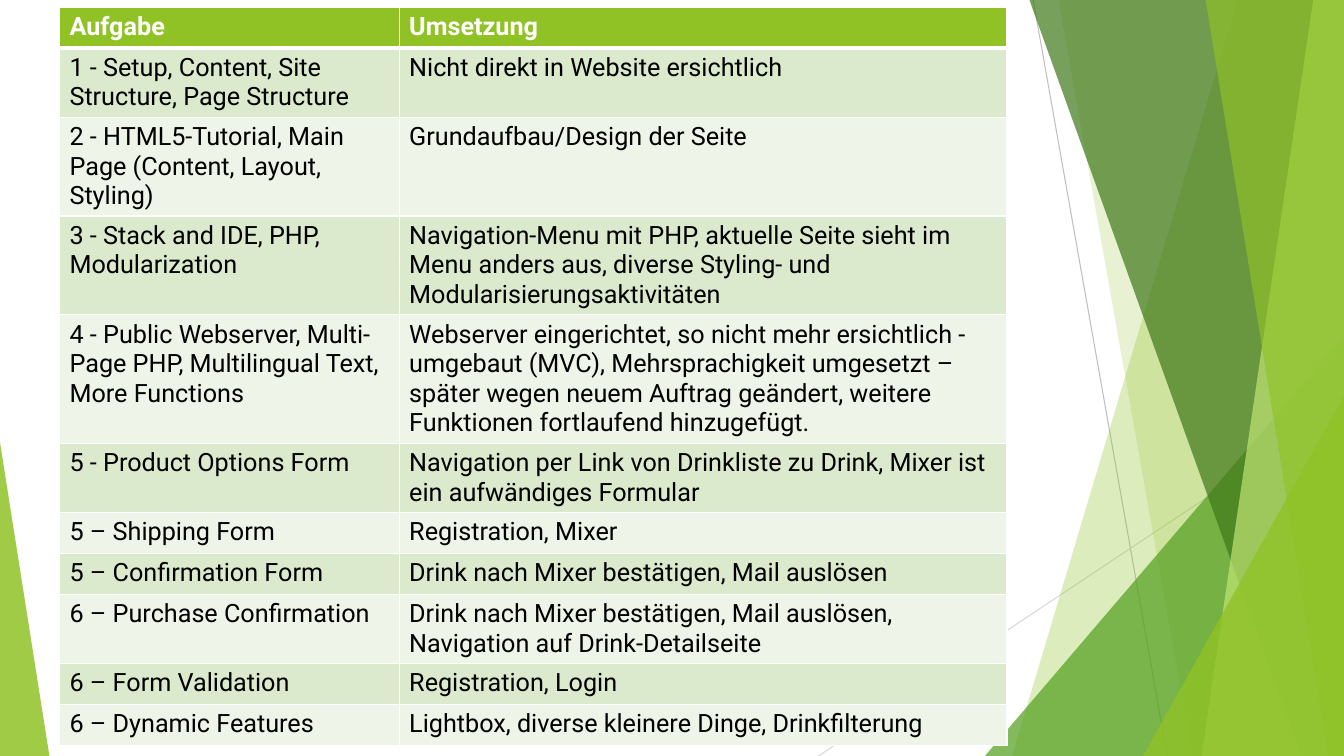
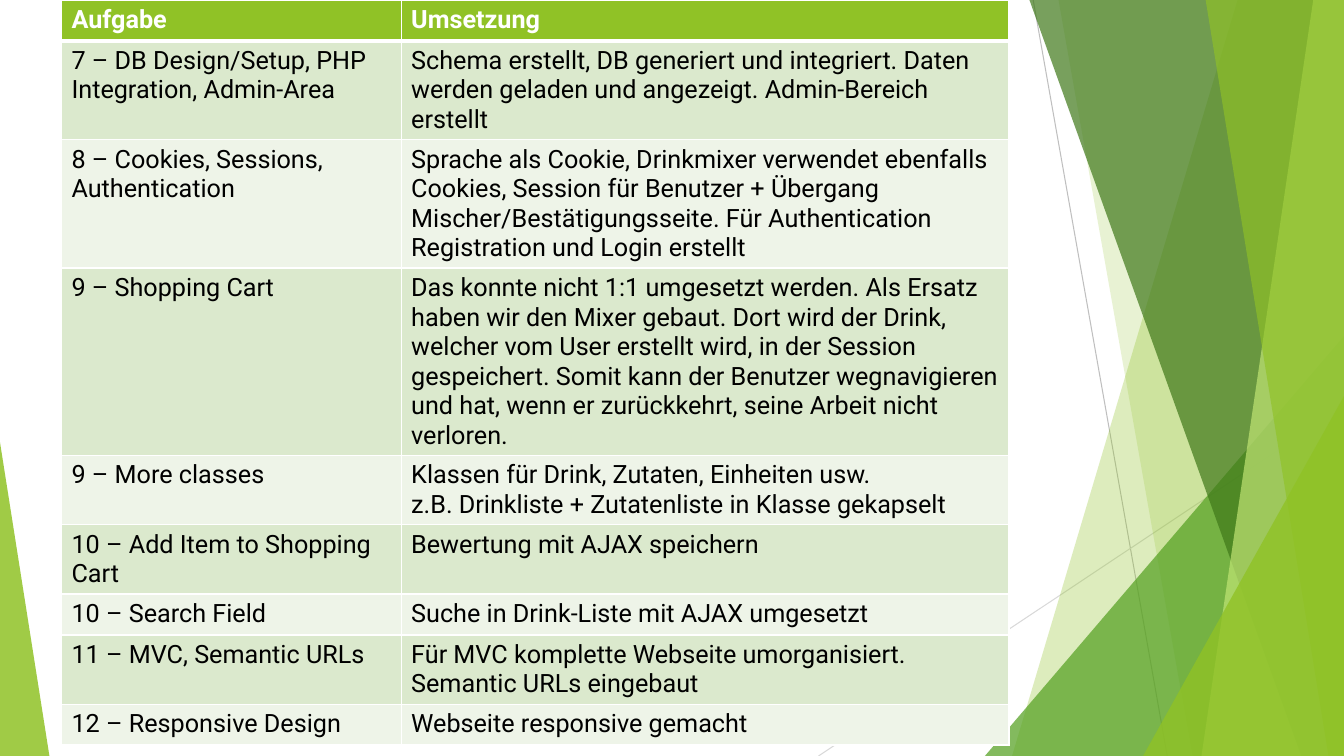
from itertools import islice

from lxml import etree
from pptx import Presentation
from pptx.dml.color import RGBColor
from pptx.enum.shapes import MSO_CONNECTOR, MSO_SHAPE
from pptx.oxml.ns import qn
from pptx.util import Pt

LINE = MSO_CONNECTOR.STRAIGHT
WEDGE = MSO_SHAPE.ISOSCELES_TRIANGLE
WIDE, HIGH = 960, 540
FONT, SIZE = "Roboto", 18
GREEN, LEAF, MOSS, LIME = "90C226", "54A021", "3F7819", "C0E474"
WHITE, BLACK = "FFFFFF", "000000"
BANDS = ("EEF4E8", "DBE9CD")
COLS = (242.64, 434.16)
ROW = 29.2
HEAD = ("Aufgabe", "Umsetzung")


def hue(code):
    """Turn a hex string into a colour."""
    return RGBColor.from_string(code)


class Deck:
    """Holds the style, the presentation and the current slide."""

    def __init__(self):
        """Start an empty widescreen deck."""
        self.prs = Presentation()
        self.prs.slide_width, self.prs.slide_height = Pt(WIDE), Pt(HIGH)
        self.base = self.prs.slide_layouts[6]
        self.slide = None

    def add(self):
        """Add a slide and make it current."""
        self.slide = self.prs.slides.add_slide(self.base)

    def share(self, shape):
        """Move a shape from the slide to the shared layout."""
        self.base.shapes.element.append(shape.element)

    def line(self, x1, y1, x2, y2, color):
        """Draw a thin shared line."""
        line = self.slide.shapes.add_connector(
            LINE, Pt(x1), Pt(y1), Pt(x2), Pt(y2))
        line.line.color.rgb = hue(color)
        line.line.width = Pt(0.75)
        etree.SubElement(line.element.spPr, qn("a:effectLst"))
        self.share(line)

    def paint(self, shape, color, alpha):
        """Fill a shared shape with a see-through colour."""
        shape.shadow.inherit = False
        shape.line.fill.background()
        shape.fill.solid()
        shape.fill.fore_color.rgb = hue(color)
        tint = next(shape.element.spPr.iter(qn("a:srgbClr")))
        etree.SubElement(tint, qn("a:alpha"), val=str(alpha * 1000))
        self.share(shape)

    def beam(self, top, foot, color, alpha):
        """Draw a full-height band from a slanted edge to the right side."""
        pen = self.slide.shapes.build_freeform(Pt(top), Pt(-0.6), 1.0)
        pen.add_line_segments([(Pt(WIDE), Pt(-0.6)), (Pt(WIDE), Pt(HIGH)),
                               (Pt(foot), Pt(HIGH))])
        self.paint(pen.convert_to_shape(), color, alpha)

    def wedge(self, x, y, width, tip, color, alpha):
        """Draw a triangle that stands on the bottom edge."""
        shape = self.slide.shapes.add_shape(
            WEDGE, Pt(x), Pt(y), Pt(width), Pt(HIGH - y))
        shape.adjustments[0] = tip
        self.paint(shape, color, alpha)

    def decor(self):
        """Draw the shared green facets."""
        self.line(738, 0, 833.76, HIGH, "BFBFBF")
        self.line(WIDE, 290.16, 584.64, HIGH, "D9D9D9")
        self.beam(884.16, 722.88, GREEN, 30)
        self.beam(756, 851.76, GREEN, 20)
        self.wedge(703.5, 240, 256.5, 1, LEAF, 72)
        self.beam(735.12, 929.52, MOSS, 70)
        self.beam(938.16, 858.24, LIME, 70)
        self.beam(861.12, 948.96, GREEN, 65)
        self.wedge(816.5, 283, 143.5, 1, GREEN, 80)
        self.wedge(0, 316, 35.3, 0, GREEN, 85)

    def cell(self, cell, text, fill, color, bold):
        """Fill one table cell with text."""
        cell.fill.solid()
        cell.fill.fore_color.rgb = hue(fill)
        cell.text = text
        for para in cell.text_frame.paragraphs:
            font = para.font
            font.name, font.size, font.bold = FONT, Pt(SIZE), bold
            font.color.rgb = hue(color)

    def rule(self, frame):
        """Put a thick white line under the header row."""
        for props in islice(frame.element.iter(qn("a:tcPr")), len(COLS)):
            edge = etree.Element(qn("a:lnB"), w=str(Pt(3)))
            fill = etree.SubElement(edge, qn("a:solidFill"))
            etree.SubElement(fill, qn("a:srgbClr"), val=WHITE)
            props.insert(0, edge)

    def table(self, x, y, height, tasks):
        """Add the task table with a header and banded rows."""
        rows = [HEAD, *tasks]
        frame = self.slide.shapes.add_table(
            len(rows), len(COLS), Pt(x), Pt(y), Pt(sum(COLS)), Pt(height))
        grid = frame.table
        for col, width in zip(grid.columns, COLS):
            col.width = Pt(width)
        for i, texts in enumerate(rows):
            grid.rows[i].height = Pt(ROW)
            look = (BANDS[i % 2], BLACK, False) if i else (
                GREEN, WHITE, True)
            for j, text in enumerate(texts):
                self.cell(grid.cell(i, j), text, *look)
        self.rule(frame)
        frame.height = Pt(height)


FIRST = [
    ("1 - Setup, Content, Site Structure, Page Structure",
     "Nicht direkt in Website ersichtlich"),
    ("2 - HTML5-Tutorial, Main Page (Content, Layout, Styling)",
     "Grundaufbau/Design der Seite"),
    ("3 - Stack and IDE, PHP, Modularization",
     "Navigation-Menu mit PHP, aktuelle Seite sieht im Menu anders aus, "
     "diverse Styling- und Modularisierungsaktivitäten"),
    ("4 - Public Webserver, Multi-Page PHP, Multilingual Text, "
     "More Functions",
     "Webserver eingerichtet, so nicht mehr ersichtlich - umgebaut (MVC), "
     "Mehrsprachigkeit umgesetzt – später wegen neuem Auftrag geändert, "
     "weitere Funktionen fortlaufend hinzugefügt."),
    ("5 - Product Options Form",
     "Navigation per Link von Drinkliste zu Drink, Mixer ist ein "
     "aufwändiges Formular"),
    ("5 – Shipping Form", "Registration, Mixer"),
    ("5 – Confirmation Form", "Drink nach Mixer bestätigen, Mail auslösen"),
    ("6 – Purchase Confirmation",
     "Drink nach Mixer bestätigen, Mail auslösen, Navigation auf "
     "Drink-Detailseite"),
    ("6 – Form Validation", "Registration, Login"),
    ("6 – Dynamic Features",
     "Lightbox, diverse kleinere Dinge, Drinkfilterung"),
]
SECOND = [
    ("7 – DB Design/Setup, PHP Integration, Admin-Area",
     "Schema erstellt, DB generiert und integriert. Daten werden geladen "
     "und angezeigt. Admin-Bereich erstellt"),
    ("8 – Cookies, Sessions, Authentication",
     "Sprache als Cookie, Drinkmixer verwendet ebenfalls Cookies, Session "
     "für Benutzer + Übergang Mischer/Bestätigungsseite. Für "
     "Authentication Registration und Login erstellt"),
    ("9 – Shopping Cart",
     "Das konnte nicht 1:1 umgesetzt werden. Als Ersatz haben wir den "
     "Mixer gebaut. Dort wird der Drink, welcher vom User erstellt wird, "
     "in der Session gespeichert. Somit kann der Benutzer wegnavigieren "
     "und hat, wenn er zurückkehrt, seine Arbeit nicht verloren."),
    ("9 – More classes",
     "Klassen für Drink, Zutaten, Einheiten usw.\n"
     "z.B. Drinkliste + Zutatenliste in Klasse gekapselt"),
    ("10 – Add Item to Shopping Cart", "Bewertung mit AJAX speichern"),
    ("10 – Search Field", "Suche in Drink-Liste mit AJAX umgesetzt"),
    ("11 – MVC, Semantic URLs",
     "Für MVC komplette Webseite umorganisiert. Semantic URLs eingebaut"),
    ("12 – Responsive Design", "Webseite responsive gemacht"),
]

deck = Deck()
deck.add()
deck.decor()
deck.table(42.48, 5.04, 534.96, FIRST)
deck.add()
deck.table(43.92, 0, 541.44, SECOND)
deck.prs.save("out.pptx")
